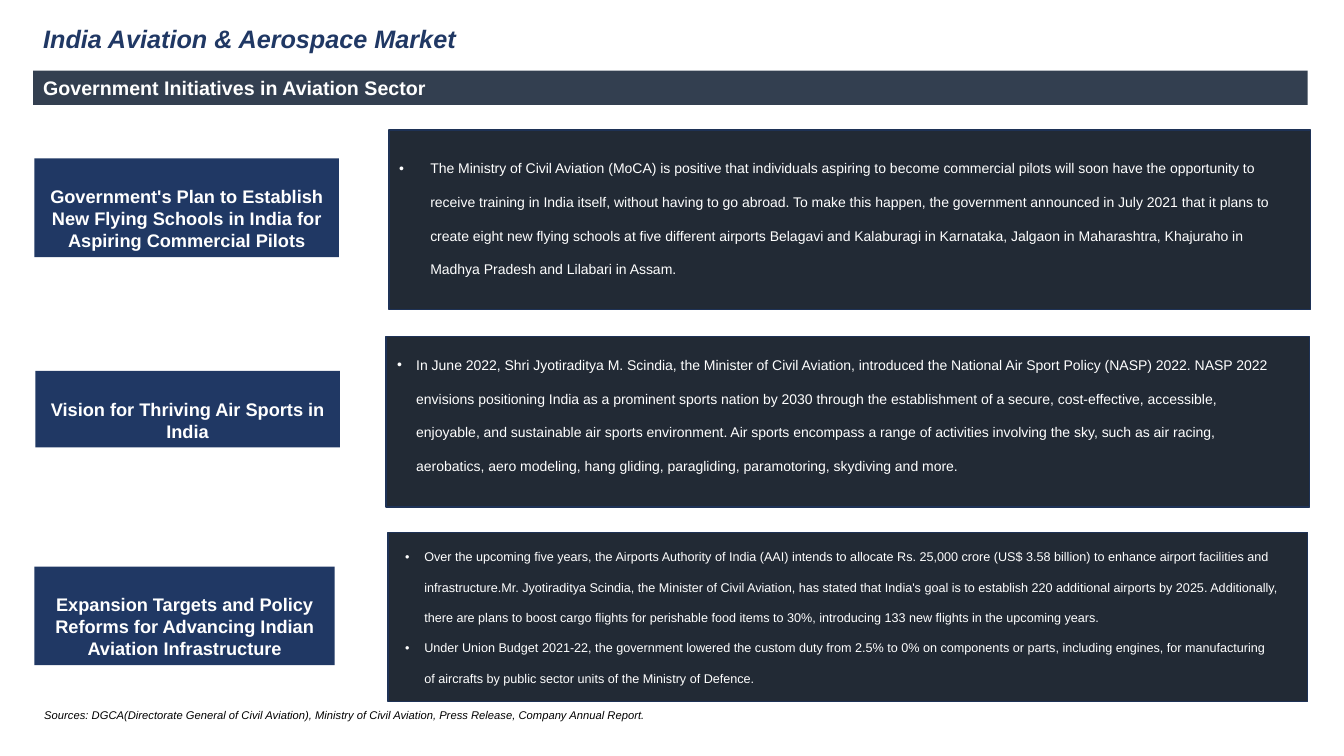
from dataclasses import dataclass

from lxml import etree
from pptx import Presentation
from pptx.dml.color import RGBColor
from pptx.enum.shapes import MSO_SHAPE
from pptx.enum.text import MSO_ANCHOR, PP_ALIGN
from pptx.oxml.ns import qn
from pptx.util import Inches, Pt

RECTANGLE = MSO_SHAPE.RECTANGLE
TOP = MSO_ANCHOR.TOP
LEFT, CENTER = PP_ALIGN.LEFT, PP_ALIGN.CENTER

FONT = "Arial"
NAVY, SLATE, DARK = "203864", "333F50", "222A35"
PANEL_LINE, WHITE, BLACK = "1E3256", "FFFFFF", "000000"

Box = tuple[float, float, float, float]  # left, top, width, height in inches


@dataclass
class Initiative:
    heading: str
    heading_box: Box
    panel_box: Box
    bullets: list[str]
    bullets_box: Box
    size: int
    indent: float


INITIATIVES = [
    Initiative(
        "Government's Plan to Establish New Flying Schools in India for Aspiring Commercial Pilots",
        (0.34, 1.57, 3.02, 0.98),
        (3.86, 1.29, 9.14, 1.78),
        ["The Ministry of Civil Aviation (MoCA) is positive that individuals aspiring to become "
         "commercial pilots will soon have the opportunity to receive training in India itself, "
         "without having to go abroad. To make this happen, the government announced in July 2021 "
         "that it plans to create eight new flying schools at five different airports Belagavi and "
         "Kalaburagi in Karnataka, Jalgaon in Maharashtra, Khajuraho in Madhya Pradesh and Lilabari "
         "in Assam."],
        (3.86, 1.37, 9, 1.4), 10, 0.31,
    ),
    Initiative(
        "Vision for Thriving Air Sports in India",
        (0.35, 3.68, 3.02, 0.76),
        (3.83, 3.34, 9.16, 1.69),
        ["In June 2022, Shri Jyotiraditya M. Scindia, the Minister of Civil Aviation, introduced the "
         "National Air Sport Policy (NASP) 2022. NASP 2022 envisions positioning India as a prominent "
         "sports nation by 2030 through the establishment of a secure, cost-effective, accessible, "
         "enjoyable, and sustainable air sports environment. Air sports encompass a range of "
         "activities involving the sky, such as air racing, aerobatics, aero modeling, hang gliding, "
         "paragliding, paramotoring, skydiving and more."],
        (3.84, 3.32, 8.86, 1.4), 10, 0.19,
    ),
    Initiative(
        "Expansion Targets and Policy Reforms for Advancing Indian Aviation Infrastructure",
        (0.34, 5.62, 2.98, 0.98),
        (3.85, 5.28, 9.12, 1.68),
        ["Over the upcoming five years, the Airports Authority of India (AAI) intends to allocate "
         "Rs. 25,000 crore (US$ 3.58 billion) to enhance airport facilities and infrastructure.Mr. "
         "Jyotiraditya Scindia, the Minister of Civil Aviation, has stated that India's goal is to "
         "establish 220 additional airports by 2025. Additionally, there are plans to boost cargo "
         "flights for perishable food items to 30%, introducing 133 new flights in the upcoming years.",
         "Under Union Budget 2021-22, the government lowered the custom duty from 2.5% to 0% on "
         "components or parts, including engines, for manufacturing of aircrafts by public sector "
         "units of the Ministry of Defence."],
        (3.92, 5.25, 8.86, 1.57), 9, 0.19,
    ),
]


def color(value: str) -> RGBColor:
    return RGBColor.from_string(value)


def add_rectangle(slide, box: Box, fill: str, line: str | None = None):
    shape = slide.shapes.add_shape(RECTANGLE, *map(Inches, box))
    shape.shadow.inherit = False
    shape.fill.solid()
    shape.fill.fore_color.rgb = color(fill)
    if line:
        shape.line.color.rgb = color(line)
        shape.line.width = Pt(1)
    else:
        shape.line.fill.background()
    return shape


def add_text_box(slide, box: Box):
    return slide.shapes.add_textbox(*map(Inches, box))


def add_bullet(paragraph, indent: float) -> None:
    properties = paragraph._p.get_or_add_pPr()
    properties.set("marL", str(Inches(indent)))
    properties.set("indent", str(-Inches(indent)))
    paragraph.line_spacing = 2.0
    etree.SubElement(properties, qn("a:buFont"), typeface=FONT)
    etree.SubElement(properties, qn("a:buChar"), char="•")


def write(shape, texts: list[str], size: int, text_color: str, bold: bool = False,
          italic: bool = False, align=LEFT, bullet_indent: float = 0) -> None:
    frame = shape.text_frame
    frame.word_wrap = True
    frame.vertical_anchor = TOP
    for index, text in enumerate(texts):
        paragraph = frame.add_paragraph() if index else frame.paragraphs[0]
        paragraph.text = text
        paragraph.alignment = align
        if bullet_indent:
            add_bullet(paragraph, bullet_indent)
        font = paragraph.font
        font.name, font.size = FONT, Pt(size)
        font.bold, font.italic = bold, italic
        font.color.rgb = color(text_color)


def add_initiative(slide, initiative: Initiative) -> None:
    add_rectangle(slide, initiative.panel_box, DARK, PANEL_LINE)
    body = add_text_box(slide, initiative.bullets_box)
    write(body, initiative.bullets, initiative.size, WHITE, bullet_indent=initiative.indent)

    label = add_rectangle(slide, initiative.heading_box, NAVY)
    label.text_frame.margin_top = Inches(0.27)
    write(label, [initiative.heading], 13, WHITE, bold=True, align=CENTER)


def main() -> None:
    presentation = Presentation()
    presentation.slide_width = Inches(13.33)
    presentation.slide_height = Inches(7.5)
    slide = presentation.slides.add_slide(presentation.slide_layouts[6])

    # Title and banner
    title = add_text_box(slide, (0.33, 0.18, 4.75, 0.4))
    write(title, ["India Aviation & Aerospace Market"], 18, NAVY, bold=True, italic=True)
    banner = add_rectangle(slide, (0.33, 0.7, 12.64, 0.34), SLATE)
    write(banner, ["Government Initiatives in Aviation Sector"], 14, WHITE, bold=True)

    # Initiatives
    for initiative in INITIATIVES:
        add_initiative(slide, initiative)

    # Sources
    sources = add_text_box(slide, (0.34, 6.98, 12.98, 0.24))
    write(sources, ["Sources: DGCA(Directorate General of Civil Aviation), Ministry of Civil Aviation, "
                    "Press Release, Company Annual Report."], 8, BLACK, italic=True)

    presentation.save("out.pptx")


if __name__ == "__main__":
    main()
